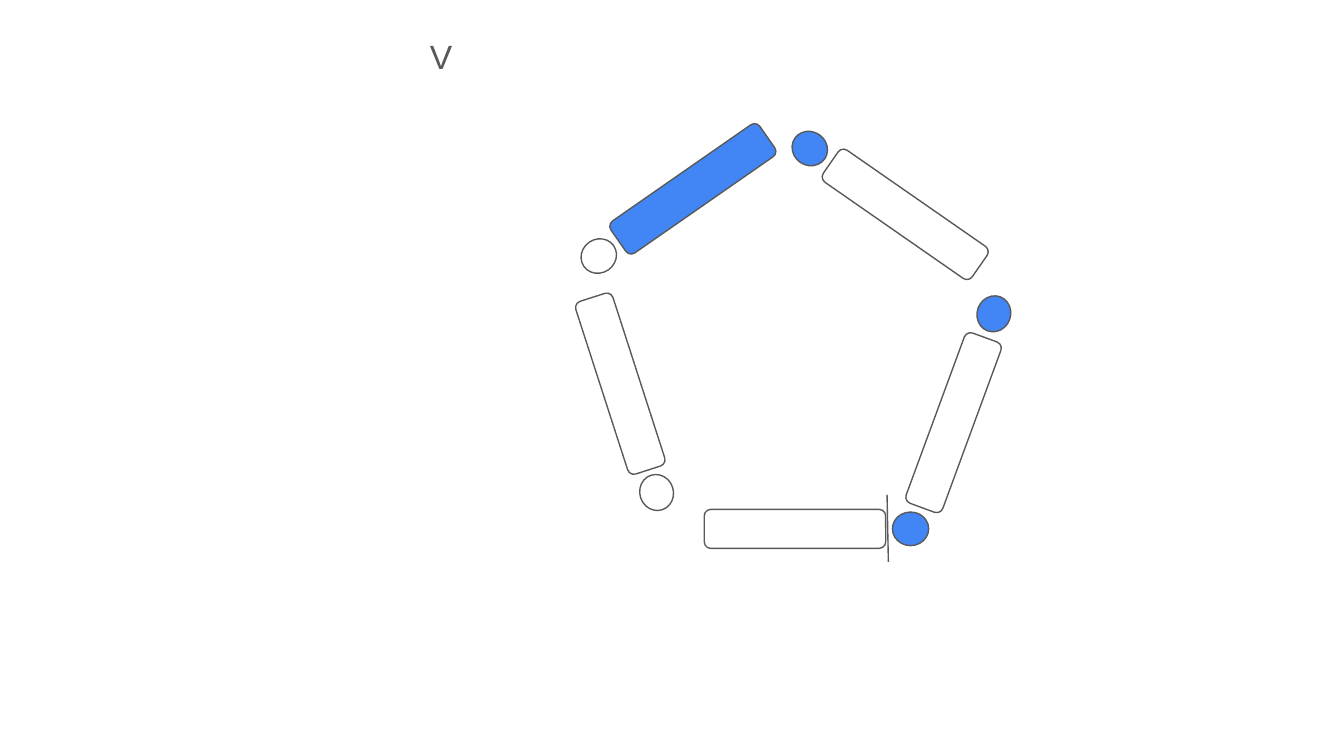
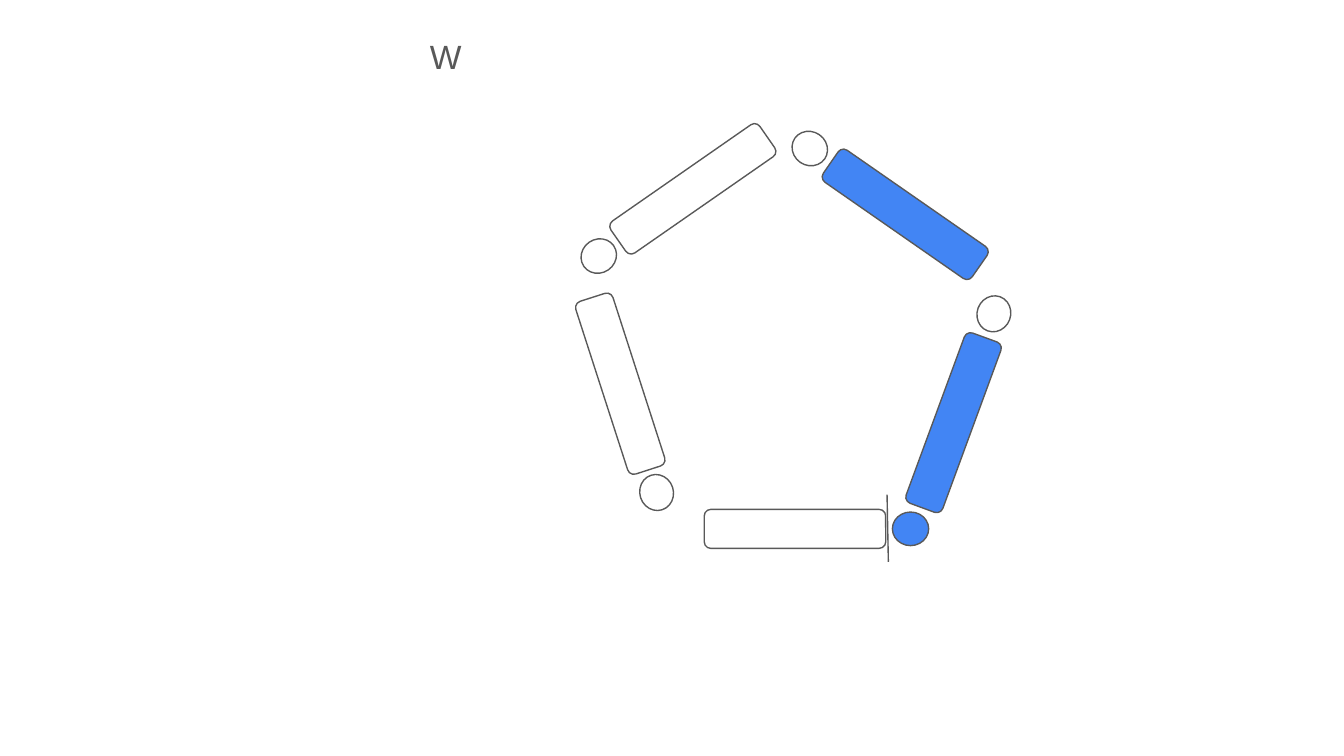
from pptx import Presentation
from pptx.dml.color import RGBColor
from pptx.enum.shapes import MSO_CONNECTOR, MSO_SHAPE
from pptx.enum.text import MSO_AUTO_SIZE
from pptx.oxml.ns import qn
from pptx.util import Inches, Pt
from lxml import etree

BAR = MSO_SHAPE.ROUNDED_RECTANGLE
DOT = MSO_SHAPE.OVAL
STRAIGHT = MSO_CONNECTOR.STRAIGHT
GROW = MSO_AUTO_SIZE.SHAPE_TO_FIT_TEXT

BLUE = RGBColor(0x42, 0x85, 0xF4)
WHITE = RGBColor(0xFF, 0xFF, 0xFF)
GRAY = RGBColor(0x59, 0x59, 0x59)
FONT = "Arial"
LINE_WIDTH = Pt(0.75)
SLIDE_WIDTH = Inches(10)
SLIDE_HEIGHT = SLIDE_WIDTH * 9 // 16
BAR_SIZE = (1.35, 0.29)
DOT_SIZE = (0.27, 0.25)

# Pentagon sides: name, rotation, bar position, dot position
SIDES = [
    ("bottom", 0, (5.24, 3.79), (6.64, 3.81)),
    ("lower right", 290.2, (6.42, 3.0), (7.26, 2.21)),
    ("upper right", 214.8, (6.06, 1.45), (5.89, 0.98)),
    ("lower left", 72.1, (3.94, 2.71), (4.75, 3.54)),
    ("upper left", 145.2, (4.48, 1.26), (4.32, 1.78)),
]
START_MARK = (6.6, 3.68, 6.61, 4.18)

# Slides: the letter and the sides whose bar or dot is filled blue
SLIDES = [
    {"letter": "V", "bars": {"upper left"},
     "dots": {"bottom", "lower right", "upper right"}},
    {"letter": "W", "bars": {"lower right", "upper right"},
     "dots": {"bottom"}},
]


def add_part(slide, kind, position, size, rotation, filled):
    shape = slide.shapes.add_shape(kind, *map(Inches, position + size))
    shape.rotation = rotation
    shape.shadow.inherit = False
    shape.fill.solid()
    shape.fill.fore_color.rgb = BLUE if filled else WHITE
    shape.line.color.rgb = GRAY
    shape.line.width = LINE_WIDTH
    return shape


def add_pentagon(slide, blue_bars, blue_dots):
    for name, rotation, bar_position, dot_position in SIDES:
        bar = add_part(slide, BAR, bar_position, BAR_SIZE, rotation, name in blue_bars)
        bar.adjustments[0] = 0.167
        add_part(slide, DOT, dot_position, DOT_SIZE, rotation, name in blue_dots)


def add_start_mark(slide):
    connector = slide.shapes.add_connector(STRAIGHT, *map(Inches, START_MARK))
    connector.line.color.rgb = GRAY
    connector.line.width = LINE_WIDTH
    properties = connector._element.find(qn("p:spPr"))
    etree.SubElement(properties, qn("a:effectLst"))


def add_letter(slide, letter):
    box = slide.shapes.add_textbox(Inches(3.1), Inches(0.17), Inches(4), Inches(0.5))
    frame = box.text_frame
    frame.word_wrap = True
    frame.auto_size = GROW
    frame.margin_left = frame.margin_right = Inches(0.1)
    frame.margin_top = frame.margin_bottom = Inches(0.1)
    run = frame.paragraphs[0].add_run()
    run.text = letter
    run.font.name = FONT
    run.font.size = Pt(18)
    run.font.color.rgb = GRAY


def main():
    presentation = Presentation()
    presentation.slide_width = SLIDE_WIDTH
    presentation.slide_height = SLIDE_HEIGHT
    blank_layout = presentation.slide_layouts[6]
    for content in SLIDES:
        slide = presentation.slides.add_slide(blank_layout)
        add_pentagon(slide, content["bars"], content["dots"])
        add_start_mark(slide)
        add_letter(slide, content["letter"])
    presentation.save("out.pptx")


if __name__ == "__main__":
    main()
